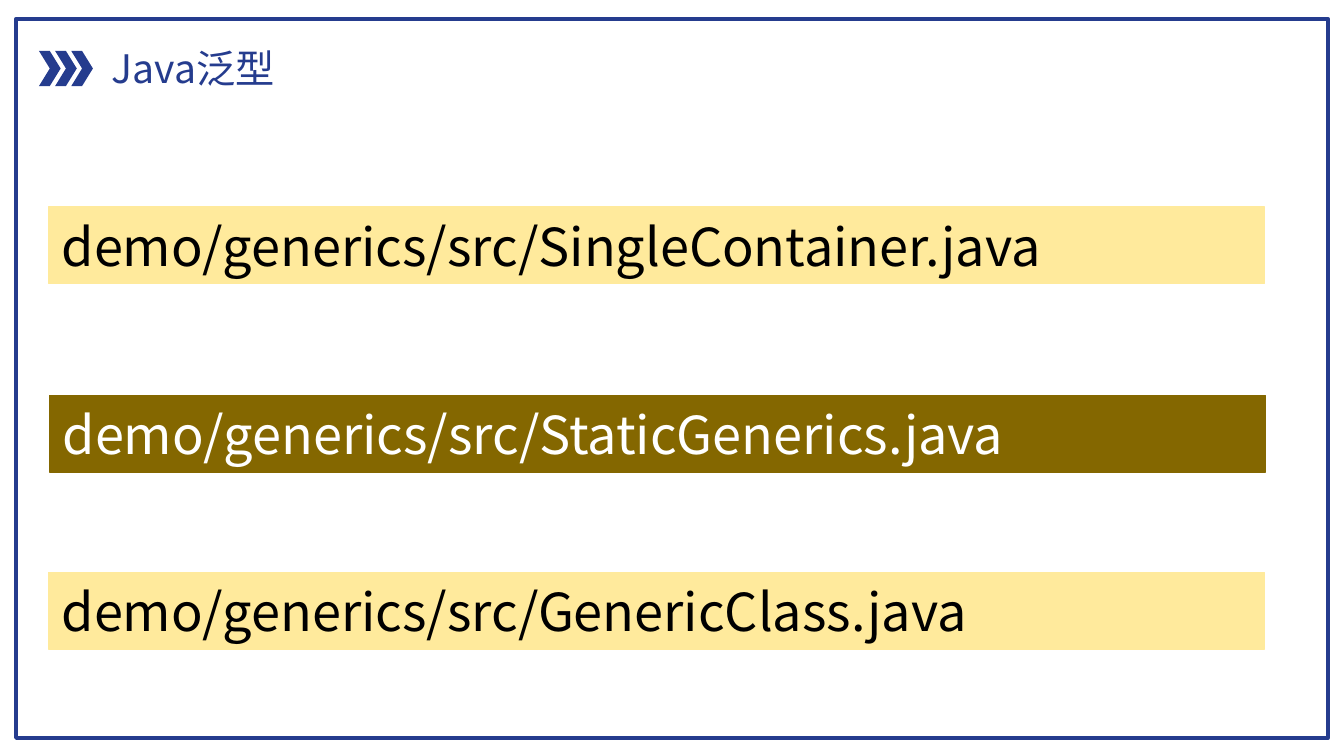
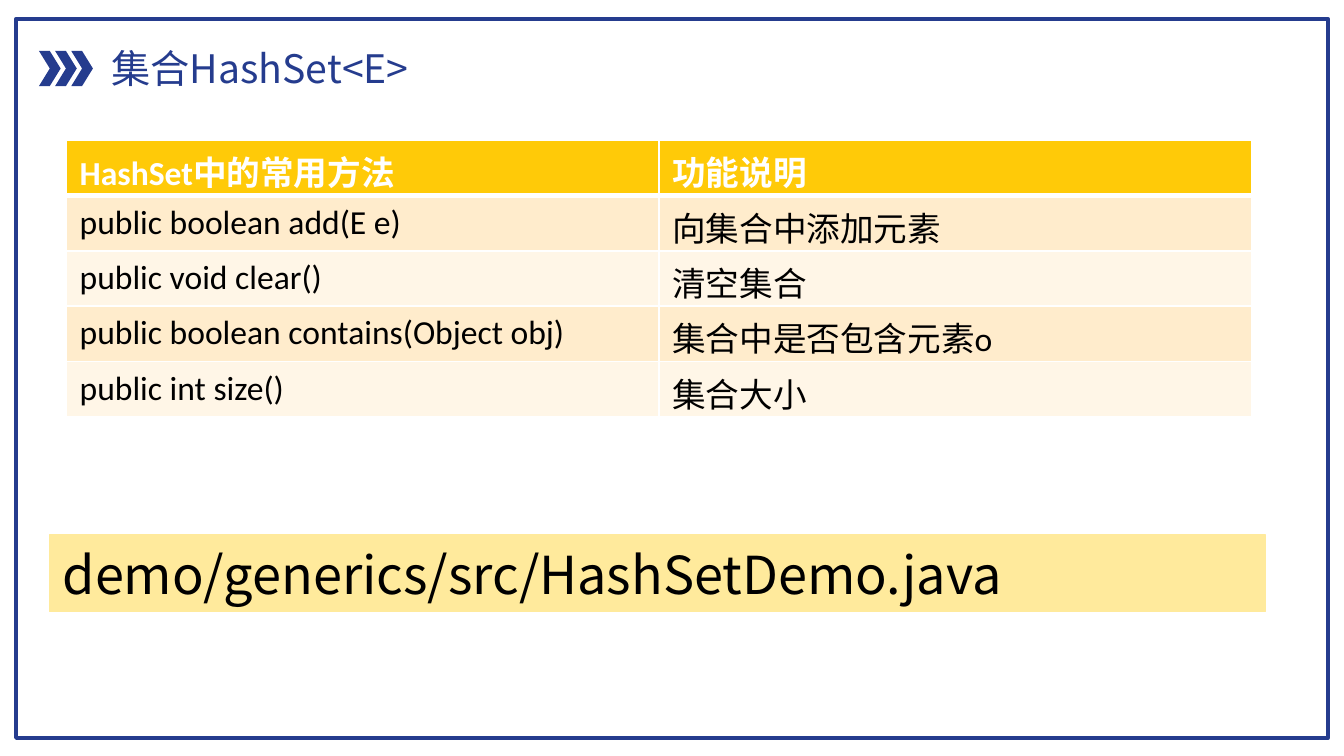
"""Builds two slides on Java generics and the HashSet collection."""
from lxml import etree
from pptx import Presentation
from pptx import util as u
from pptx.dml.color import RGBColor
from pptx.enum import shapes, text
from pptx.oxml import ns

Pt = u.Pt
HUES = {
    "navy": "253C8E", "cream": "FFEA9C", "olive": "846700", "gold": "FFCA08",
    "peach": "FFECCC", "pale": "FFF6E7", "white": "FFFFFF", "black": "000000",
}
CJK = "Noto Sans CJK SC"
KIND = shapes.MSO_SHAPE
MID = text.MSO_ANCHOR.MIDDLE
TOP = text.MSO_ANCHOR.TOP


def write(frame, words, face, size, hue, bold=False, **form):
    look = {"word_wrap": True, "auto_size": text.MSO_AUTO_SIZE.NONE, **form}
    for key, val in look.items():
        setattr(frame, key, val)
    para = frame.paragraphs[0]
    para.alignment = text.PP_ALIGN.LEFT
    run = para.add_run()
    run.text = words
    for key, val in {"name": face, "size": Pt(size), "bold": bold}.items():
        setattr(run.font, key, val)
    run.font.color.rgb = RGBColor.from_string(HUES[hue])
    east = etree.SubElement(run.font._element, ns.qn("a:ea"))
    east.set("typeface", CJK)


def draw(slide, kind, box, fill=None, line=None, width=0.75):
    shape = slide.shapes.add_shape(kind, *map(Pt, box))
    shape.shadow.inherit = False
    for part, hue in ((shape.fill, fill), (shape.line.fill, line)):
        if hue:
            part.solid()
            part.fore_color.rgb = RGBColor.from_string(HUES[hue])
        else:
            part.background()
    if line:
        shape.line.width = Pt(width)
    return shape


DECK = [
    ("Java泛型", 103.7, [
        (26, 110.9, "SingleContainer", "cream", "black"),
        (26.5, 211.9, "StaticGenerics", "olive", "white"),
        (26, 306.7, "GenericClass", "cream", "black"),
    ]),
    ("集合HashSet<E>", 175.7, [
        (26.5, 286.7, "HashSetDemo", "cream", "black"),
    ]),
]
ROWS = [
    ("HashSet中的常用方法", "功能说明"),
    ("public boolean add(E e)", "向集合中添加元素"),
    ("public void clear()", "清空集合"),
    ("public boolean contains(Object obj)", "集合中是否包含元素o"),
    ("public int size()", "集合大小"),
]

prs = Presentation()
prs.slide_width, prs.slide_height = Pt(720), Pt(405)

for name, wide, bars in DECK:
    slide = prs.slides.add_slide(prs.slide_layouts[5])
    draw(slide, KIND.RECTANGLE, (8.6, 10, 702.8, 385.4), line="navy", width=2)
    for step in range(3):
        draw(slide, KIND.CHEVRON, (20.9 + 8.64 * step, 27.3, 11.6, 18.8), "navy")
    title = slide.shapes.title
    spot = {"left": 52.5, "top": 20.2, "width": wide, "height": 32.4}
    for key, val in spot.items():
        setattr(title, key, Pt(val))
    write(title.text_frame, name, CJK, 21, "navy", vertical_anchor=TOP)
    for left, top, file, fill, ink in bars:
        bar = draw(slide, KIND.RECTANGLE, (left, top, 651.4, 41), fill, fill)
        write(bar.text_frame, f"demo/generics/src/{file}.java", CJK, 28, ink,
              vertical_anchor=MID)

grid = slide.shapes.add_table(5, 2, Pt(35.5), Pt(75), Pt(635), Pt(146)).table
for r, row in enumerate(ROWS):
    grid.rows[r].height = Pt(29.2)
    fill = "gold" if r == 0 else ("pale", "peach")[r % 2]
    ink = "black" if r else "white"
    for c, words in enumerate(row):
        cell = grid.cell(r, c)
        write(cell.text_frame, words, "Calibri", 18, ink, bold=r == 0)
        cell.margin_bottom = 0
        props = cell._tc.get_or_add_tcPr()
        for side in "LRTB":
            thick = 3 if (r, side) in ((0, "B"), (1, "T")) else 1
            edge = etree.SubElement(props, ns.qn(f"a:ln{side}"), w=str(Pt(thick)))
            paint = etree.SubElement(edge, ns.qn("a:solidFill"))
            etree.SubElement(paint, ns.qn("a:srgbClr"), val=HUES["white"])
        cell.fill.solid()
        cell.fill.fore_color.rgb = RGBColor.from_string(HUES[fill])

prs.save("out.pptx")
